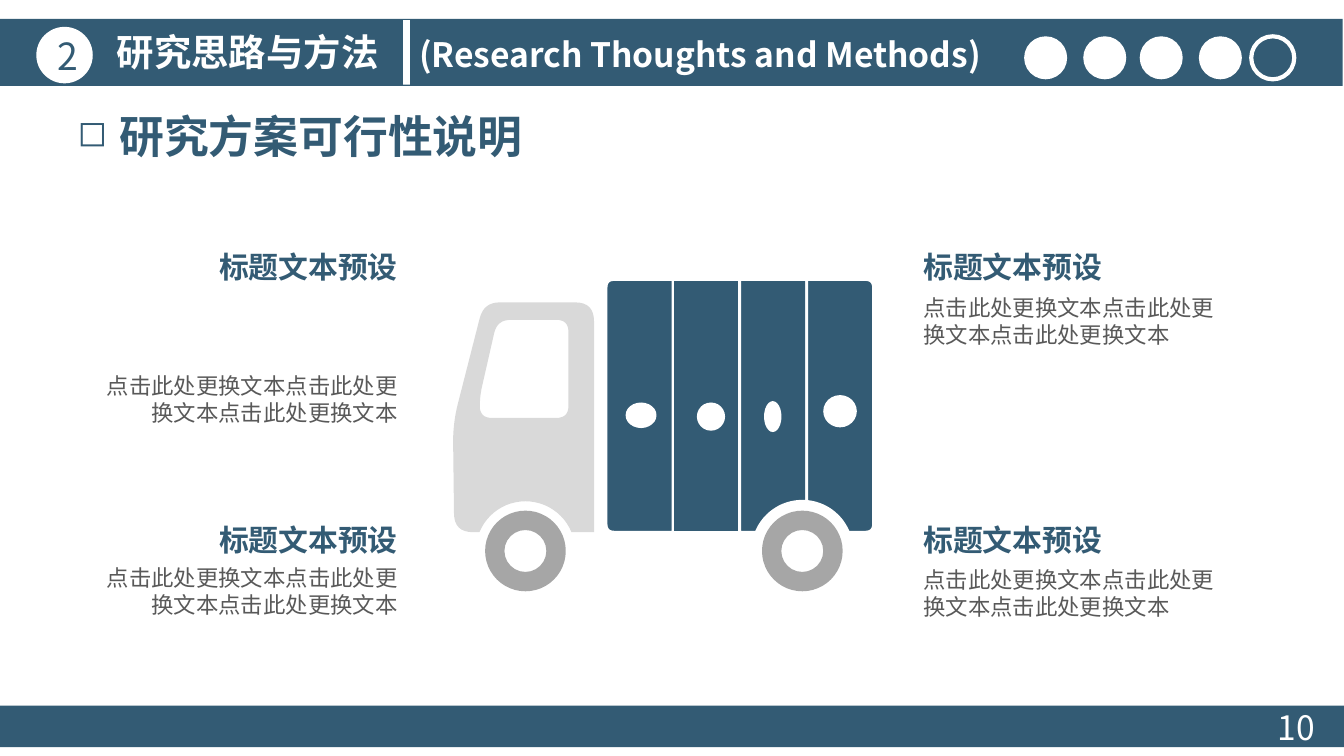
import math

import pptx
import pptx.dml.color
import pptx.enum.shapes
import pptx.enum.text
import pptx.oxml.ns
import pptx.util
from lxml import etree

FONT = "Noto Sans CJK SC"
BLUE, WHITE, TEXT_GREY = "335B74", "FFFFFF", "595959"
CAB_GREY, WHEEL_GREY = "D9D9D9", "A6A6A6"
WIDTH = 10
HEIGHT = WIDTH * 9 / 16
SHAPE = pptx.enum.shapes.MSO_SHAPE
ALIGN = pptx.enum.text.PP_ALIGN
ANCHOR = pptx.enum.text.MSO_ANCHOR
inches = pptx.util.Inches
qn = pptx.oxml.ns.qn


def colour(hex_text):
    return pptx.dml.color.RGBColor.from_string(hex_text)


def paint(shape, fill=None, line=None, line_width=1.5):
    shape.shadow.inherit = False
    if fill:
        shape.fill.solid()
        shape.fill.fore_color.rgb = colour(fill)
    else:
        shape.fill.background()
    if line:
        shape.line.color.rgb = colour(line)
        shape.line.width = pptx.util.Pt(line_width)
    else:
        shape.line.fill.background()
    return shape


def add_preset(page, kind, box, fill=None, line=None, line_width=1.5):
    shape = page.shapes.add_shape(kind, *map(inches, box))
    return paint(shape, fill, line, line_width)


def write(shape, text, size, hex_text, bold=False, align=ALIGN.LEFT):
    paragraph = shape.text_frame.paragraphs[0]
    paragraph.text = text
    paragraph.alignment = align
    paragraph.font.size = pptx.util.Pt(size)
    paragraph.font.bold = bold
    paragraph.font.color.rgb = colour(hex_text)
    paragraph.font.name = FONT
    defaults = paragraph._p.get_or_add_pPr().find(qn("a:defRPr"))
    etree.SubElement(defaults, qn("a:ea"), typeface=FONT)
    return paragraph


def add_text(page, box, text, size, hex_text, bold=False, align=ALIGN.LEFT,
             wrap=False, anchor=ANCHOR.TOP, tight=False):
    shape = page.shapes.add_textbox(*map(inches, box))
    frame = shape.text_frame
    frame.word_wrap = wrap
    frame.vertical_anchor = anchor
    if tight:
        frame.margin_left = frame.margin_right = inches(0.08)
        frame.margin_top = frame.margin_bottom = 0
    return write(shape, text, size, hex_text, bold, align)


def rounded(corners, steps=8):
    """Turn (x, y, radius) corners into points, bending each corner smoothly."""
    points = []
    for index, (x, y, radius) in enumerate(corners):
        if not radius:
            points.append((x, y))
            continue
        ends = []
        for other in (corners[index - 1], corners[(index + 1) % len(corners)]):
            share = radius / math.dist((x, y), other[:2])
            ends.append((x + (other[0] - x) * share, y + (other[1] - y) * share))
        for step in range(steps + 1):
            t = step / steps
            weights = (1 - t) ** 2, 2 * t * (1 - t), t ** 2
            points.append(tuple(sum(w * p[axis] for w, p in
                                    zip(weights, (ends[0], (x, y), ends[1])))
                                for axis in (0, 1)))
    return points


def wheel_arch(centre, radius, right, left, steps=24):
    """Corners along the top of a circle, from right to left."""
    first, last = (math.acos((x - centre[0]) / radius) for x in (right, left))
    angles = [first + (last - first) * step / steps for step in range(steps + 1)]
    return [(centre[0] + radius * math.cos(a), centre[1] - radius * math.sin(a), 0)
            for a in angles]


def add_outline(page, origin, unit, contours, fill, line=None):
    def place(point):
        return tuple(inches(start + unit * value) for start, value in zip(origin, point))

    builder = None
    for corners in contours:
        first, *rest = map(place, rounded(corners))
        if builder is None:
            builder = page.shapes.build_freeform(*first)
        else:
            builder.move_to(*first)
        builder.add_line_segments(rest, close=True)
    return paint(builder.convert_to_shape(), fill, line)


def add_header(page, box):
    left, top, width, height = box
    add_preset(page, SHAPE.RECTANGLE, box, BLUE)
    dot = 0.32
    *done, current = (7.62, 8.06, 8.48, 8.92, 9.31)
    for x in done:
        add_preset(page, SHAPE.OVAL, (x, top + 0.13, dot, dot), WHITE)
    add_preset(page, SHAPE.OVAL, (current, top + 0.13, dot, dot),
               line=WHITE, line_width=2.25)
    badge = add_preset(page, SHAPE.OVAL, (0.27, top + 0.06, 0.42, 0.42), WHITE)
    badge.text_frame.vertical_anchor = ANCHOR.MIDDLE
    write(badge, "2", 20, BLUE, align=ALIGN.CENTER)
    add_preset(page, SHAPE.RECTANGLE, (3, top + 0.01, 0.05, height - 0.02), WHITE)
    add_text(page, (0.77, top + 0.03, 2.17, 0.44),
             "研究思路与方法", 20, WHITE, bold=True)
    add_text(page, (3.02, top + 0.06, 4.58, 0.4),
             "(Research Thoughts and Methods)", 18, WHITE, bold=True)


def add_footer(page, box):
    left, top, width, height = box
    add_preset(page, SHAPE.RECTANGLE, box, BLUE)
    add_text(page, (left + width - 0.59, top - 0.04, 0.59, 0.4), "10", 18, WHITE, wrap=True)


def add_heading(page, box):
    paragraph = add_text(page, box, "研究方案可行性说明", 24, BLUE, bold=True, wrap=True)
    properties = paragraph._p.get_or_add_pPr()
    properties.set("marL", str(inches(0.31)))
    properties.set("indent", str(-inches(0.31)))
    properties.insert(0, etree.Element(qn("a:buSzPct"), val="80000"))
    properties.insert(1, etree.Element(qn("a:buChar"), char="◻"))


def add_caption(page, box, body_offset, align):
    left, top, width, height = box
    add_text(page, (left, top, width, 0.2), "标题文本预设", 16, BLUE,
             bold=True, align=align, tight=True)
    add_text(page, (left, top + body_offset, width, height), "点击此处更换文本" * 3,
             12, TEXT_GREY, align=align, wrap=True, anchor=ANCHOR.MIDDLE, tight=True)


def add_truck(page, box):
    """Draw the truck on a grid of 313 columns across the box."""
    left, top, width, height = box
    unit = width / 313
    floor, axle, arch_radius = 188, 202, 37
    reach = math.sqrt(arch_radius ** 2 - (axle - floor) ** 2)
    front, rear = 54, 260

    cargo, panel, count = 114, 49.75, 4
    for index in range(count):
        start, end = cargo + index * panel, cargo + (index + 1) * panel
        left_round = 6 if index == 0 else 0
        right_round = 6 if index == count - 1 else 0
        corners = [(start, 0, left_round), (end, 0, right_round)]
        arch_left, arch_right = max(start, rear - reach), min(end, rear + reach)
        has_arch = arch_left < arch_right
        if not has_arch or arch_right < end:
            corners.append((end, floor, right_round))
        if has_arch:
            corners += wheel_arch((rear, axle), arch_radius, arch_right, arch_left)
        if not has_arch or arch_left > start:
            corners.append((start, floor, left_round))
        add_outline(page, (left, top), unit, [corners], BLUE, WHITE)

    cab = [(23, 17, 12), (105, 17, 14), (105, floor, 0),
           *wheel_arch((front, axle), arch_radius, front + reach, front - reach),
           (1, floor, 14), (0, 107, 15)]
    window = [(33, 30, 10), (86, 30, 9), (86, 103, 9), (20, 103, 9), (20, 87, 8)]
    add_outline(page, (left, top), unit, [cab, window], CAB_GREY)

    def add_centred(kind, x, y, columns, rows, fill):
        return add_preset(page, kind, (left + (x - columns / 2) * unit,
                                       top + (y - rows / 2) * unit,
                                       columns * unit, rows * unit), fill)

    for x in (front, rear):
        add_centred(SHAPE.DONUT, x, axle, 60, 60, WHEEL_GREY).adjustments[0] = 0.24
    for x, y, columns, rows in ((140, 101, 23, 19), (192, 102, 21, 21),
                                (238, 102, 13, 23), (288, 98, 25, 24)):
        add_centred(SHAPE.OVAL, x, y, columns, rows, WHITE)


def main():
    deck = pptx.Presentation()
    deck.slide_width, deck.slide_height = inches(WIDTH), inches(HEIGHT)
    page = deck.slides.add_slide(deck.slide_layouts[6])
    add_header(page, (-0.01, 0.14, WIDTH, 0.5))
    add_footer(page, (0, 5.25, WIDTH, 0.31))
    add_heading(page, (0.48, 0.76, 3.65, 0.5))
    for left, top, body_offset, align in ((0.64, 1.85, 0.88, ALIGN.RIGHT),
                                          (0.64, 3.88, 0.28, ALIGN.RIGHT),
                                          (6.79, 1.85, 0.3, ALIGN.LEFT),
                                          (6.79, 3.88, 0.29, ALIGN.LEFT)):
        add_caption(page, (left, top, 2.4, 0.48), body_offset, align)
    add_truck(page, (3.37, 2.08, 3.13, 2.32))
    deck.save("out.pptx")


if __name__ == "__main__":
    main()
